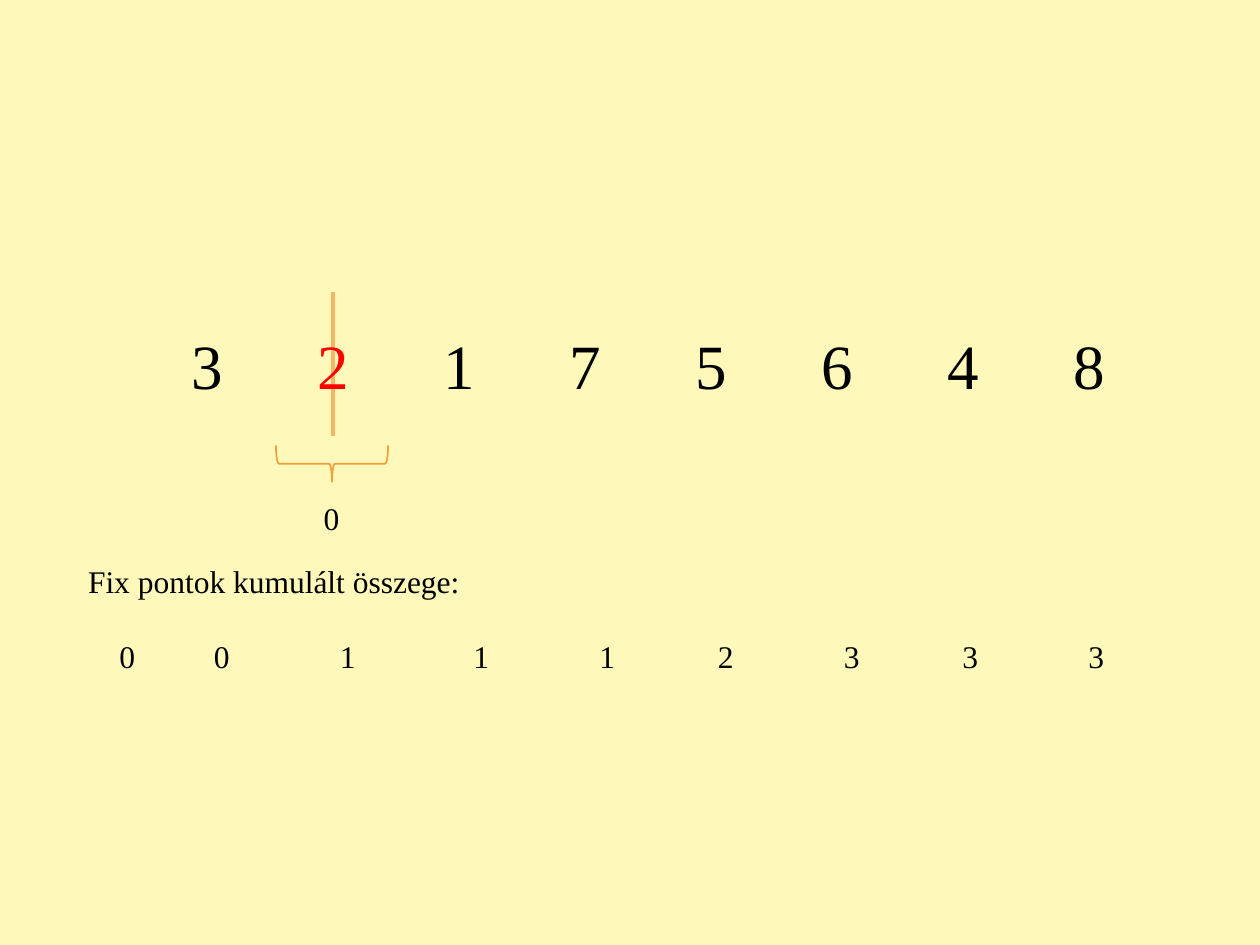
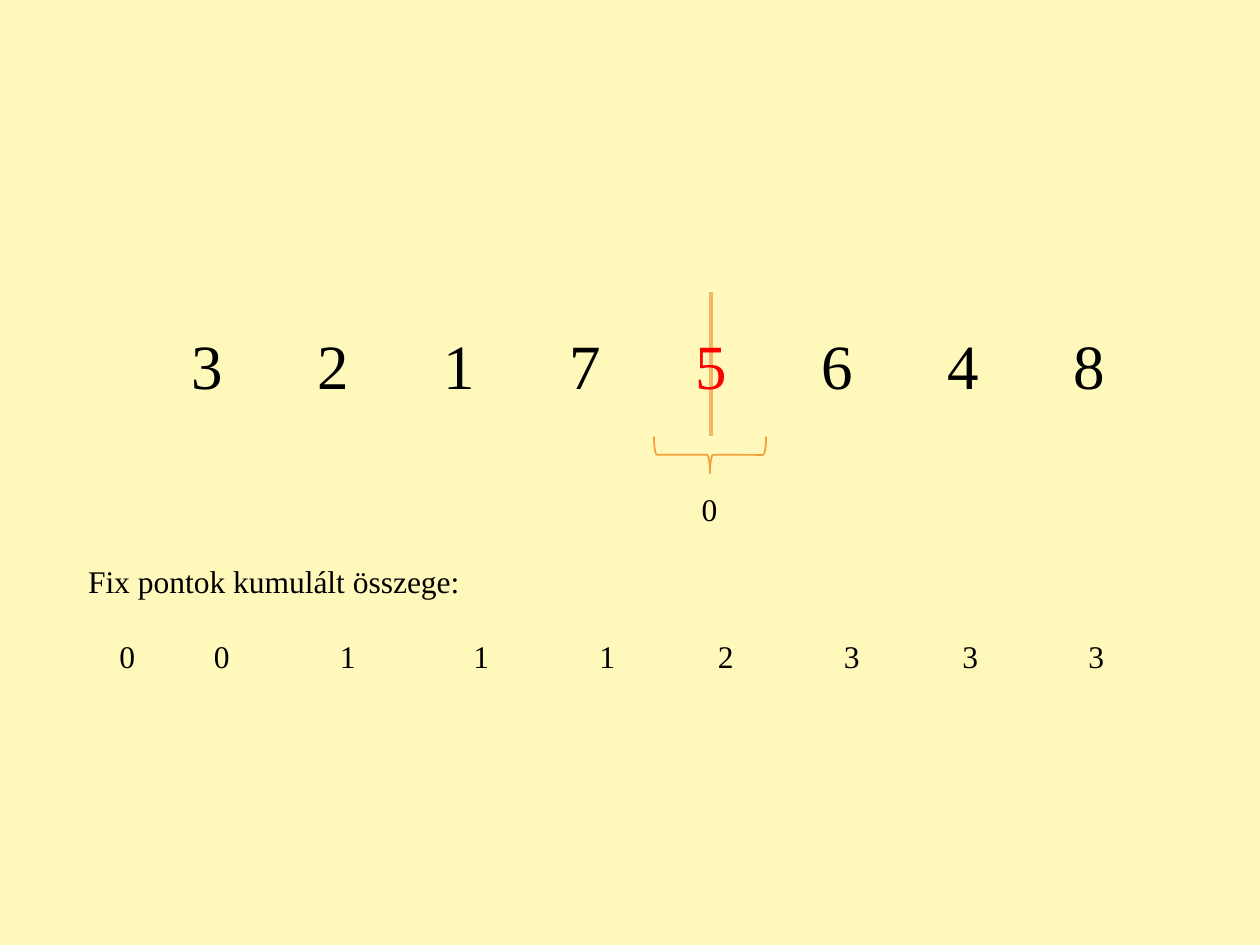
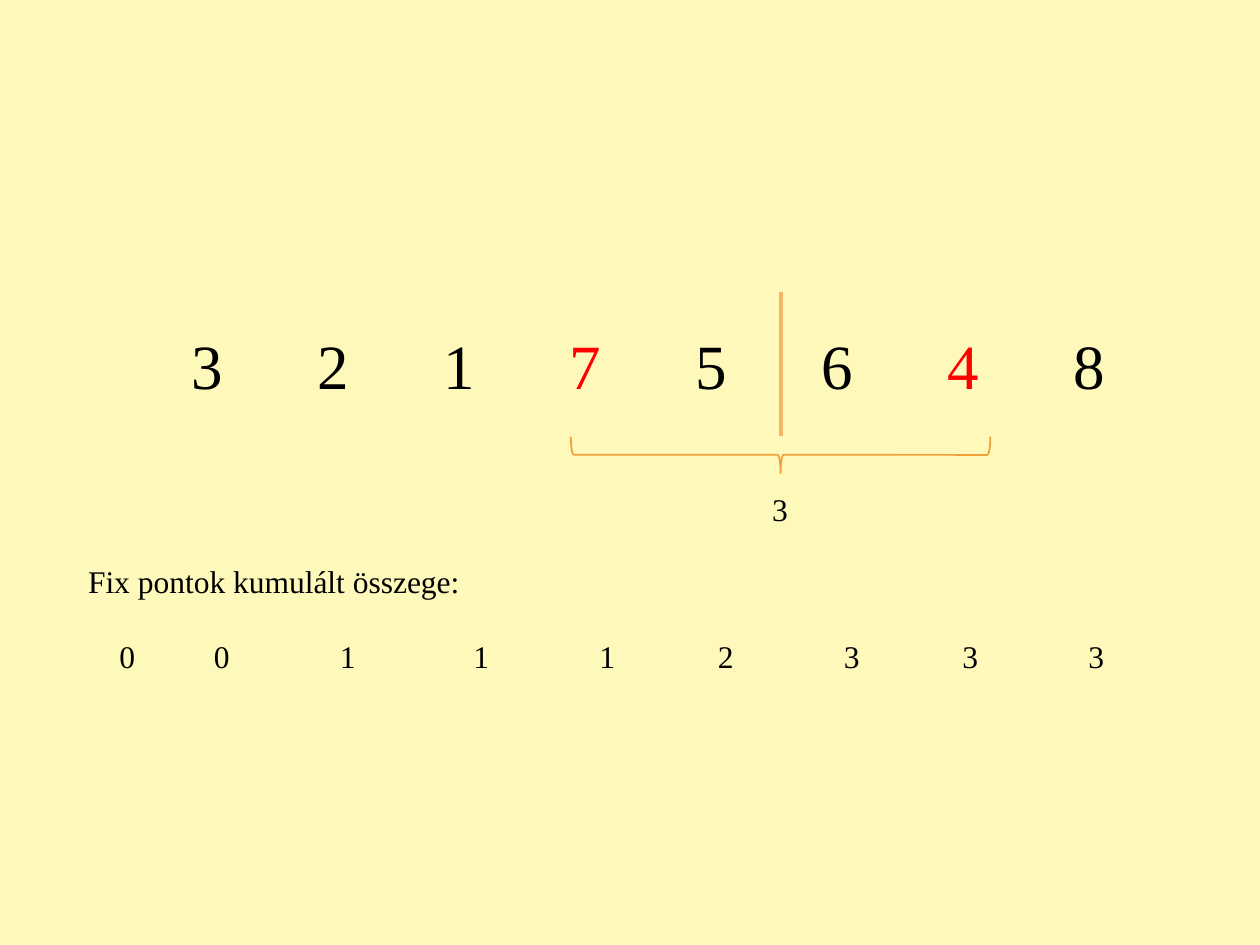
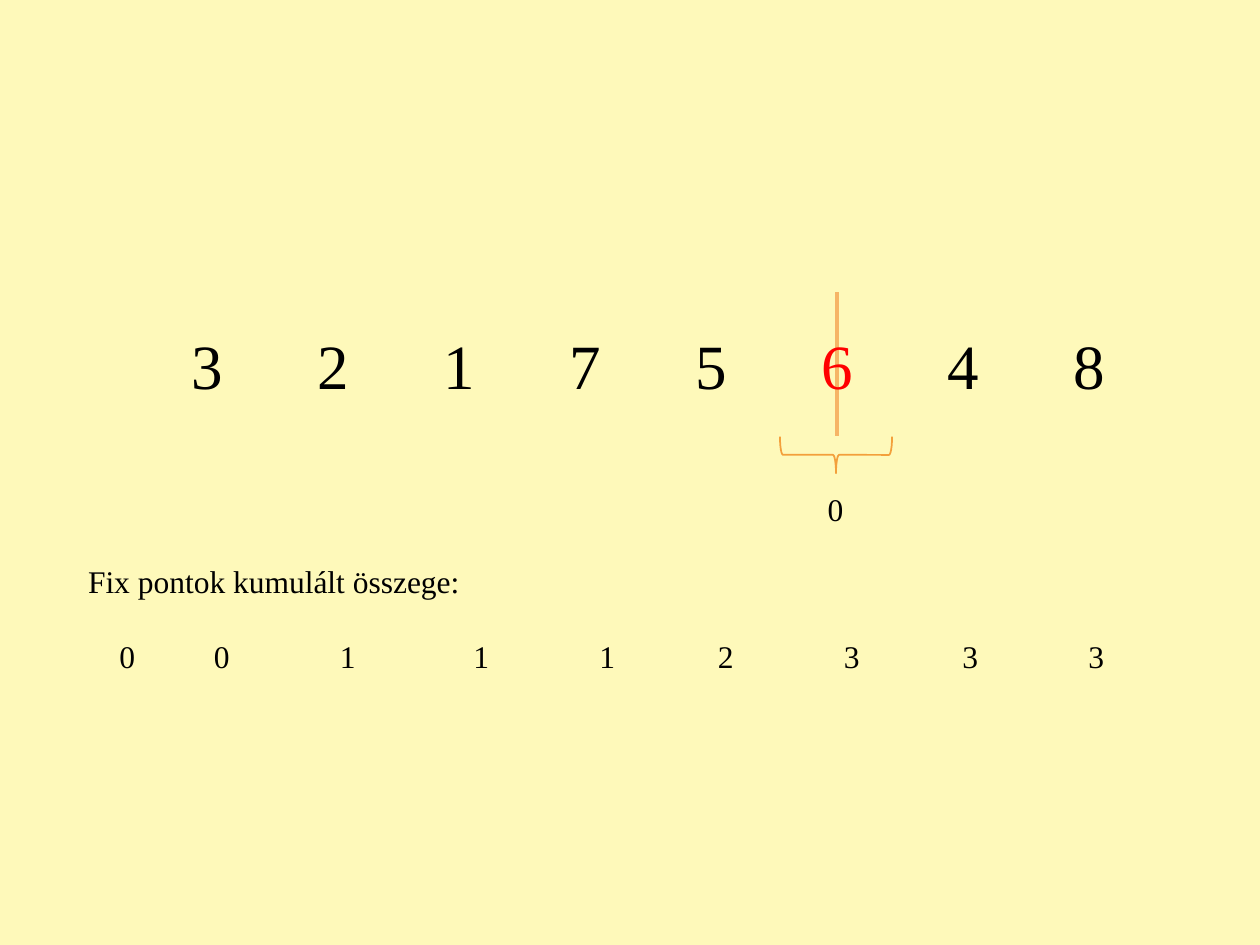
from lxml import etree
from pptx import Presentation
from pptx.dml.color import RGBColor
from pptx.enum import shapes, text
from pptx.oxml import ns
from pptx.util import Inches, Pt

CREAM = RGBColor(0xFE, 0xF9, 0xBA)
LIGHT_ORANGE = RGBColor(0xF6, 0xB5, 0x66)
ORANGE = RGBColor(0xF3, 0xA0, 0x3B)
BLACK = RGBColor(0, 0, 0)
RED = RGBColor(0xFF, 0, 0)
FONT = "Times New Roman"

PERMUTATION = "32175648"
PERMUTATION_TABS = range(1, 8)
SUMS = "001112333"
SUM_TABS = (0.25, 1, 2, 3.06, 4.06, 5, 6, 6.94, 7.94)

# marked digits, axis x, brace middle y, brace span, sum of the interval, its box width
STEPS = [
    ("2", 2.64, 3.68, 0.89, "0", 0.33),
    ("5", 5.64, 3.61, 0.89, "0", 0.33),
    ("74", 6.2, 3.61, 3.33, "3", 0.43),
    ("6", 6.64, 3.61, 0.89, "0", 0.33),
]


def add_text(page, left, top, width, height, spans, size, tabs=()):
    """Add a one-line text box; spans are (wording, colour) pairs, tabs are inches."""
    box = page.shapes.add_textbox(Inches(left), Inches(top), Inches(width), Inches(height))
    frame = box.text_frame
    frame.word_wrap = True
    frame.auto_size = text.MSO_AUTO_SIZE.SHAPE_TO_FIT_TEXT
    para = frame.paragraphs[0]
    if tabs:
        properties = para._p.get_or_add_pPr()
        tab_list = etree.SubElement(properties, ns.qn("a:tabLst"))
        for position in tabs:
            etree.SubElement(tab_list, ns.qn("a:tab"), pos=str(Inches(position)), algn="l")
    for wording, colour in spans:
        span = para.add_run()
        span.text = wording
        span.font.name = FONT
        span.font.size = Pt(size)
        span.font.color.rgb = colour


deck = Presentation()
deck.slide_width, deck.slide_height = Inches(10), Inches(7.5)
background = deck.slide_master.background.fill
background.solid()
background.fore_color.rgb = CREAM
blank = deck.slide_layouts[6]

for marked, axis_x, brace_y, brace_span, interval_sum, sum_width in STEPS:
    page = deck.slides.add_slide(blank)

    axis = page.shapes.add_connector(
        shapes.MSO_CONNECTOR.STRAIGHT,
        Inches(axis_x), Inches(2.32), Inches(axis_x), Inches(3.46))
    axis.line.color.rgb = LIGHT_ORANGE
    axis.line.width = Pt(2.25)
    etree.SubElement(axis._element.spPr, ns.qn("a:effectLst"))

    digits = []
    for index, digit in enumerate(PERMUTATION):
        gap = "\t" if index else ""
        digits.append((gap + digit, RED if digit in marked else BLACK))
    add_text(page, 1.42, 2.54, 7.52, 0.71, digits, 36, PERMUTATION_TABS)

    brace = page.shapes.add_shape(
        shapes.MSO_SHAPE.RIGHT_BRACE,
        Inches(axis_x - 0.15), Inches(brace_y - brace_span / 2),
        Inches(0.29), Inches(brace_span))
    brace.rotation = 90
    brace.shadow.inherit = False
    brace.fill.background()
    brace.line.color.rgb = ORANGE
    brace.line.width = Pt(1)

    add_text(page, axis_x - 0.17, brace_y + 0.23, sum_width, 0.4, [(interval_sum, BLACK)], 18)
    add_text(page, 0.6, 4.41, 3.18, 0.4, [("Fix pontok kumulált összege:", BLACK)], 18)
    sums = "\t" + "\t".join(SUMS)
    add_text(page, 0.6, 5.01, 8.66, 0.4, [(sums, BLACK)], 18, SUM_TABS)

deck.save("out.pptx")
